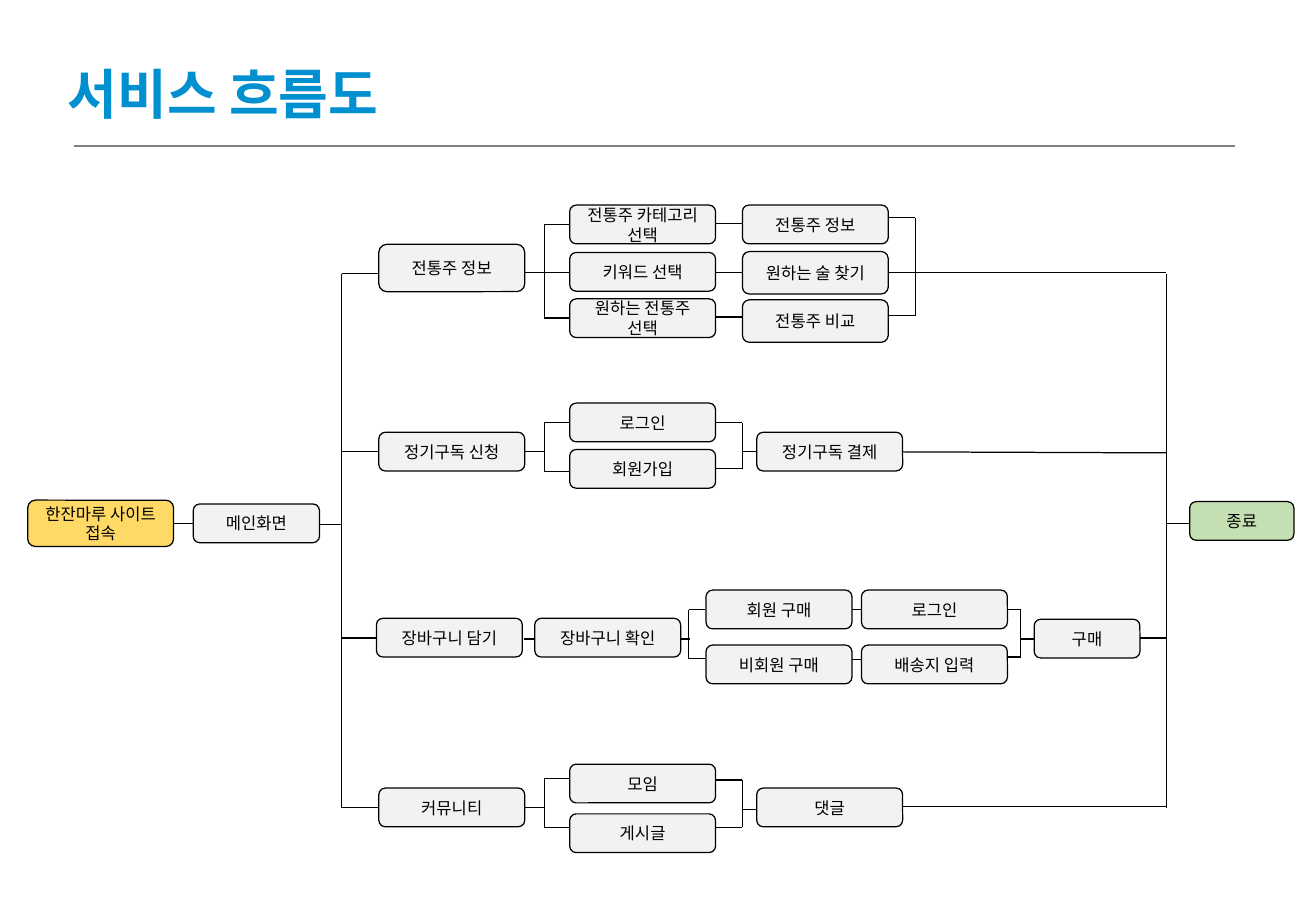
from lxml.etree import SubElement
from pptx import Presentation
from pptx.dml.color import RGBColor
from pptx.enum.shapes import MSO_CONNECTOR, MSO_SHAPE
from pptx.enum.text import MSO_ANCHOR, PP_ALIGN
from pptx.oxml.ns import qn
from pptx.util import Cm, Pt

BLACK, GRAY, YELLOW, GREEN = "000000", "F2F2F2", "FFD966", "C4E0B2"
BOX_WIDTH, BOX_HEIGHT = 3.05, 0.81
MENU, CHOICE, RESULT, PAYMENT = 7.92, 11.91, 15.52, 15.82
BUYER, DELIVERY = 14.76, 18.01
MENU_END, CHOICE_END = 10.95, 14.96
MENU_SPINE, CHOICE_SPINE, EXIT_SPINE = 7.14, 11.38, 24.38

BOXES = [
    ("한잔마루 사이트 접속", 0.58, 10.46, BOX_WIDTH, 0.97, YELLOW),
    ("메인화면", 4.04, 10.54, 2.64),
    ("전통주 정보", MENU, 5.11, BOX_WIDTH, 0.99),
    ("전통주 카테고리 선택", CHOICE, 4.29),
    ("키워드 선택", CHOICE, 5.28),
    ("원하는 전통주 선택", CHOICE, 6.25),
    ("전통주 정보", RESULT, 4.29),
    ("원하는 술 찾기", RESULT, 5.26, BOX_WIDTH, 0.89),
    ("전통주 비교", RESULT, 6.27, BOX_WIDTH, 0.89),
    ("정기구독 신청", MENU, 9.04),
    ("로그인", CHOICE, 8.43),
    ("회원가입", CHOICE, 9.4),
    ("정기구독 결제", PAYMENT, 9.04),
    ("장바구니 담기", 7.87, 12.93),
    ("장바구니 확인", 11.18, 12.93),
    ("회원 구매", BUYER, 12.34),
    ("비회원 구매", BUYER, 13.49),
    ("로그인", DELIVERY, 12.34),
    ("배송지 입력", DELIVERY, 13.49),
    ("구매", 21.62, 12.95, 2.21),
    ("커뮤니티", MENU, 16.48),
    ("모임", CHOICE, 15.98),
    ("게시글", CHOICE, 17.02),
    ("댓글", PAYMENT, 16.48),
    ("종료", 24.87, 10.49, 2.18, BOX_HEIGHT, GREEN),
]

BRACKETS = [
    (MENU_SPINE, MENU, (5.72, 9.45, 13.34, 16.89)),
    (CHOICE_SPINE, CHOICE, (4.7, 6.65)),
    (19.13, 18.57, (4.55, 6.6)),
    (CHOICE_SPINE, CHOICE, (8.84, 9.86)),
    (RESULT, CHOICE_END, (8.84, 9.8)),
    (14.4, 14.73, (12.75, 13.77)),
    (21.34, 21.08, (12.75, 13.74)),
    (CHOICE_SPINE, CHOICE, (16.28, 17.3)),
    (RESULT, CHOICE_END, (16.31, 17.3)),
]

LINKS = [
    (3.63, 4.04, 10.95),
    (6.68, MENU_SPINE, 10.97),
    (MENU_END, EXIT_SPINE, 5.7),
    (CHOICE_END, RESULT, 4.67),
    (CHOICE_END, RESULT, 6.63),
    (MENU_END, CHOICE_SPINE, 9.45),
    (RESULT, PAYMENT, 9.45),
    (MENU_END, 11.18, 13.36),
    (14.2, 14.43, 13.36),
    (17.81, DELIVERY, 12.75),
    (17.81, DELIVERY, 13.79),
    (21.34, 21.62, 13.36),
    (23.83, EXIT_SPINE, 13.34),
    (MENU_END, CHOICE_SPINE, 16.89),
    (RESULT, PAYMENT, 16.92),
    (18.85, EXIT_SPINE, 16.87),
    (EXIT_SPINE, 24.87, 10.95),
]


def color(value):
    return RGBColor.from_string(value)


class FlowSlide:
    box_font, title_font = "Arial", "Calibri"
    box_size, title_size = 9.8, 32
    line_width = 0.75

    def __init__(self, slide):
        self.slide = slide

    def label(self, shape, text, font_name, size, font_color, bold=False):
        shape.text_frame.word_wrap = True
        paragraph = shape.text_frame.paragraphs[0]
        paragraph.text = text
        paragraph.font.name = font_name
        paragraph.font.size = Pt(size)
        paragraph.font.bold = bold
        paragraph.font.color.rgb = color(font_color)
        return paragraph

    def title(self, text, left, top, width, height):
        shape = self.slide.shapes.add_textbox(Cm(left), Cm(top), Cm(width), Cm(height))
        self.label(shape, text, self.title_font, self.title_size, "0090D0", True)

    def box(self, text, left, top, width=BOX_WIDTH, height=BOX_HEIGHT, fill=GRAY):
        shape = self.slide.shapes.add_shape(
            MSO_SHAPE.ROUNDED_RECTANGLE, Cm(left), Cm(top), Cm(width), Cm(height)
        )
        shape.shadow.inherit = False
        shape.fill.solid()
        shape.fill.fore_color.rgb = color(fill)
        shape.line.color.rgb = color(BLACK)
        shape.line.width = Pt(self.line_width)
        shape.text_frame.vertical_anchor = MSO_ANCHOR.MIDDLE
        paragraph = self.label(shape, text, self.box_font, self.box_size, BLACK)
        paragraph.alignment = PP_ALIGN.CENTER

    def line(self, start_x, start_y, end_x, end_y, stroke=BLACK, width=line_width):
        connector = self.slide.shapes.add_connector(
            MSO_CONNECTOR.STRAIGHT, Cm(start_x), Cm(start_y), Cm(end_x), Cm(end_y)
        )
        connector.line.color.rgb = color(stroke)
        connector.line.width = Pt(width)
        SubElement(connector._element.spPr, qn("a:effectLst"))

    def bracket(self, spine, end, heights):
        self.line(spine, heights[0], spine, heights[-1])
        for height in heights:
            self.line(spine, height, end, height)


def main():
    presentation = Presentation()
    presentation.slide_width = Cm(27.51)
    presentation.slide_height = Cm(19.05)
    flow = FlowSlide(presentation.slides.add_slide(presentation.slide_layouts[6]))

    flow.title("서비스 흐름도", 1.17, 1.14, 7.62, 1.63)
    flow.line(1.55, 3.05, 25.81, 3.05, "7F7F7F", 1.5)
    for bracket in BRACKETS:
        flow.bracket(*bracket)
    for start, end, height in LINKS:
        flow.line(start, height, end, height)
    flow.line(18.85, 9.45, EXIT_SPINE, 9.47)
    flow.line(EXIT_SPINE, 5.72, EXIT_SPINE, 16.89)
    for box in BOXES:
        flow.box(*box)

    presentation.save("out.pptx")


if __name__ == "__main__":
    main()
